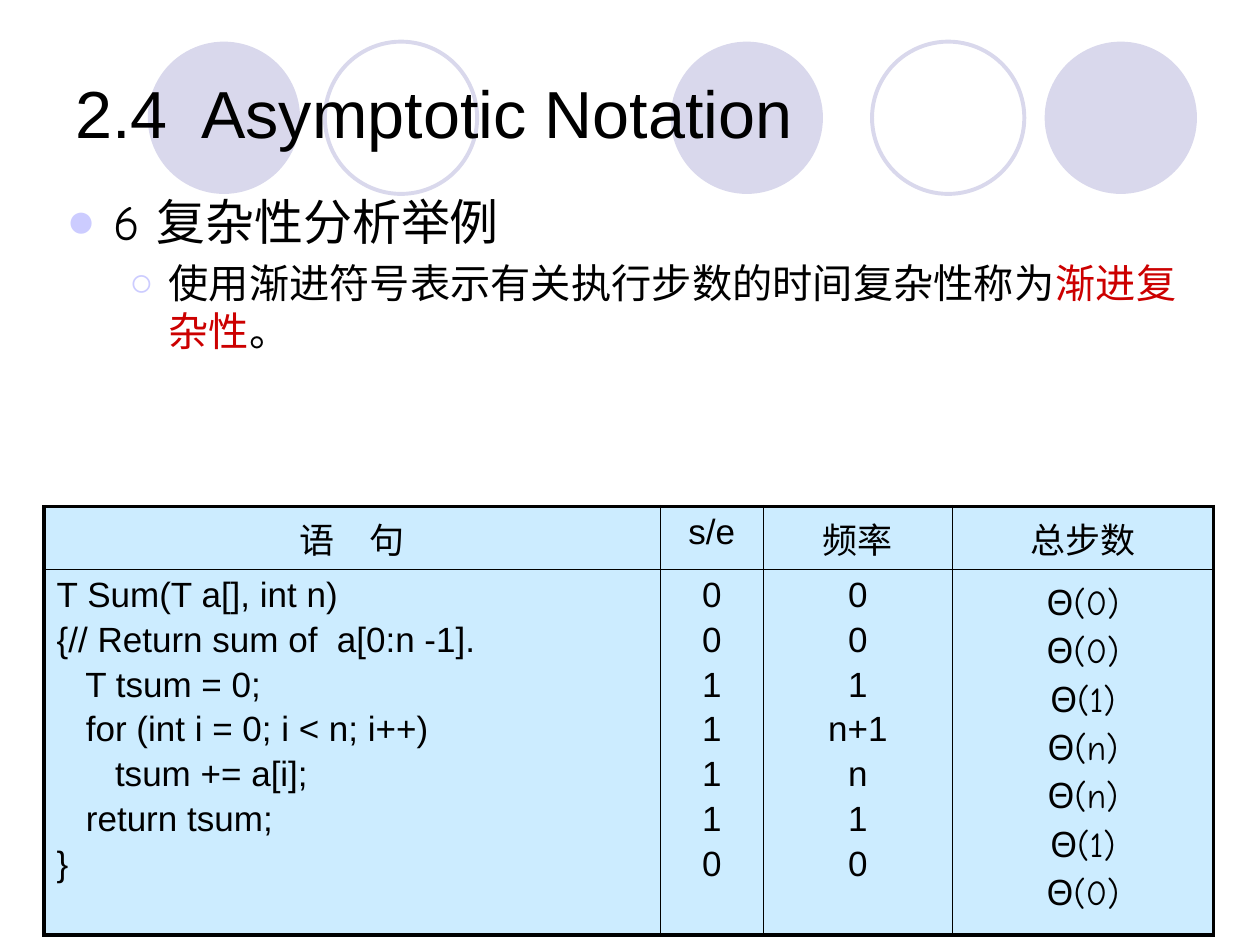
from dataclasses import dataclass

from lxml import etree
from pptx import Presentation
from pptx.dml.color import RGBColor
from pptx.enum.shapes import MSO_SHAPE
from pptx.enum.text import MSO_ANCHOR, PP_ALIGN
from pptx.oxml.ns import qn
from pptx.util import Cm, Pt

OVAL = MSO_SHAPE.OVAL
MIDDLE = MSO_ANCHOR.MIDDLE
TOP = MSO_ANCHOR.TOP
LEFT = PP_ALIGN.LEFT
CENTER = PP_ALIGN.CENTER


@dataclass(frozen=True)
class Theme:
    ink: str = "000000"
    accent: str = "CC0000"
    circle: str = "D9D8EC"
    bullet: str = "CCCCFF"
    cell: str = "CCECFF"
    sans: str = "Arial"
    comic: str = "Comic Neue"
    title_size: float = 38
    heading_size: float = 28
    body_size: float = 23
    table_size: float = 20
    thick: float = 2.25
    thin: float = 1


THEME = Theme()


def add_child(parent, tag, **attributes):
    child = etree.SubElement(parent, qn(tag))
    for name, value in attributes.items():
        child.set(name, str(value))
    return child


def write_paragraph(para, text, *, size, font, align=LEFT, line=None, before=0,
                    bullet=None, margin=0, hanging=0, level=0, tab=None):
    properties = para._p.get_or_add_pPr()
    if bullet:
        properties.set("marL", str(Cm(margin)))
        properties.set("indent", str(-Cm(hanging)))
        add_child(add_child(properties, "a:buClr"), "a:srgbClr", val=THEME.bullet)
        add_child(properties, "a:buFont", typeface=THEME.sans)
        add_child(properties, "a:buChar", char=bullet)
    if tab:
        stops = add_child(properties, "a:tabLst")
        add_child(stops, "a:tab", pos=Cm(tab), algn="l")
    para.level = level
    para.alignment = align
    para.space_before = Pt(before)
    if line:
        para.line_spacing = line
    pieces = [(text, THEME.ink)] if isinstance(text, str) else text
    for words, color in pieces:
        span = para.add_run()
        span.text = words
        span.font.size = Pt(size)
        span.font.name = font
        span.font.color.rgb = RGBColor.from_string(color)


class SlideBuilder:
    def __init__(self, page, theme):
        self.page = page
        self.theme = theme

    def circle(self, left, top, size, filled):
        shape = self.page.shapes.add_shape(OVAL, Cm(left), Cm(top), Cm(size), Cm(size))
        shape.shadow.inherit = False
        color = RGBColor.from_string(self.theme.circle)
        if filled:
            shape.fill.solid()
            shape.fill.fore_color.rgb = color
            shape.line.fill.background()
        else:
            shape.fill.background()
            shape.line.color.rgb = color
            shape.line.width = Pt(self.theme.thick)

    def text(self, left, top, width, height, paragraphs, anchor=TOP):
        box = self.page.shapes.add_textbox(Cm(left), Cm(top), Cm(width), Cm(height))
        frame = box.text_frame
        frame.word_wrap = True
        frame.vertical_anchor = anchor
        self.fill_frame(frame, paragraphs)

    def fill_frame(self, frame, paragraphs):
        for index, (text, style) in enumerate(paragraphs):
            para = frame.add_paragraph() if index else frame.paragraphs[0]
            write_paragraph(para, text, **style)

    def border(self, cell, side, width):
        line = add_child(cell._tc.get_or_add_tcPr(), f"a:ln{side}", w=Pt(width))
        add_child(add_child(line, "a:solidFill"), "a:srgbClr", val=self.theme.ink)

    def table(self, left, top, widths, heights, rows, styles):
        frame = self.page.shapes.add_table(
            len(heights), len(widths), Cm(left), Cm(top), Cm(sum(widths)), Cm(sum(heights)))
        table = frame.table
        table.first_row = False
        table.horz_banding = False
        for column, width in zip(table.columns, widths):
            column.width = Cm(width)
        last_row, last_column = len(heights) - 1, len(widths) - 1
        for r, (height, row) in enumerate(zip(heights, rows)):
            table.rows[r].height = Cm(height)
            for c, lines in enumerate(row):
                cell = table.cell(r, c)
                edges = {"L": c == 0, "R": c == last_column, "T": r == 0, "B": r == last_row}
                for side, outer in edges.items():
                    self.border(cell, side, self.theme.thick if outer else self.theme.thin)
                cell.fill.solid()
                cell.fill.fore_color.rgb = RGBColor.from_string(self.theme.cell)
                self.fill_frame(cell.text_frame, [
                    (line, {**styles[r][c], "before": styles[r][c].get("before", 0) if i else 0})
                    for i, line in enumerate(lines)])


def main():
    deck = Presentation()
    deck.slide_width, deck.slide_height = Cm(25.4), Cm(19.05)
    page = deck.slides.add_slide(deck.slide_layouts[6])
    slide = SlideBuilder(page, THEME)

    for left, filled in [(13.52, True), (21.06, True), (2.98, True),
                         (17.58, False), (6.55, False)]:
        slide.circle(left, 0.84, 3.07, filled)

    slide.text(1.27, 0.76, 22.86, 3.18, [
        ("2.4\tAsymptotic Notation",
         dict(size=THEME.title_size, font=THEME.sans, line=0.9, tab=2.54)),
    ], anchor=MIDDLE)

    slide.text(1.09, 3.73, 23.34, 5.72, [
        ("6 复杂性分析举例",
         dict(size=THEME.heading_size, font=THEME.comic,
              bullet="●", margin=0.95, hanging=0.95)),
        ([("使用渐进符号表示有关执行步数的时间复杂性称为", THEME.ink),
          ("渐进复杂性", THEME.accent), ("。", THEME.ink)],
         dict(size=THEME.body_size, font=THEME.comic, before=4.6, level=1,
              bullet="○", margin=2.06, hanging=0.79)),
    ])

    code = ["T Sum(T a[], int n)",
            "{// Return sum of  a[0:n -1].",
            "   T tsum = 0;",
            "   for (int i = 0; i < n; i++)",
            "      tsum += a[i];",
            "   return tsum;",
            "}"]
    steps = ["0", "0", "1", "1", "1", "1", "0"]
    frequency = ["0", "0", "1", "n+1", "n", "1", "0"]
    totals = [f"Θ({order})" for order in ["0", "0", "1", "n", "n", "1", "0"]]

    plain = dict(size=THEME.table_size, font=THEME.sans, before=3.3)
    centered = dict(plain, align=CENTER)
    theta = dict(size=THEME.table_size, font=THEME.comic, align=CENTER, line=1.2)
    slide.table(
        0.89, 10.21, [12.42, 2.08, 3.81, 5.26], [1.27, 7.1],
        [[["语　句"], ["s/e"], ["频率"], ["总步数"]], [code, steps, frequency, totals]],
        [[centered] * 4, [plain, centered, centered, theta]])

    deck.save("out.pptx")


if __name__ == "__main__":
    main()
